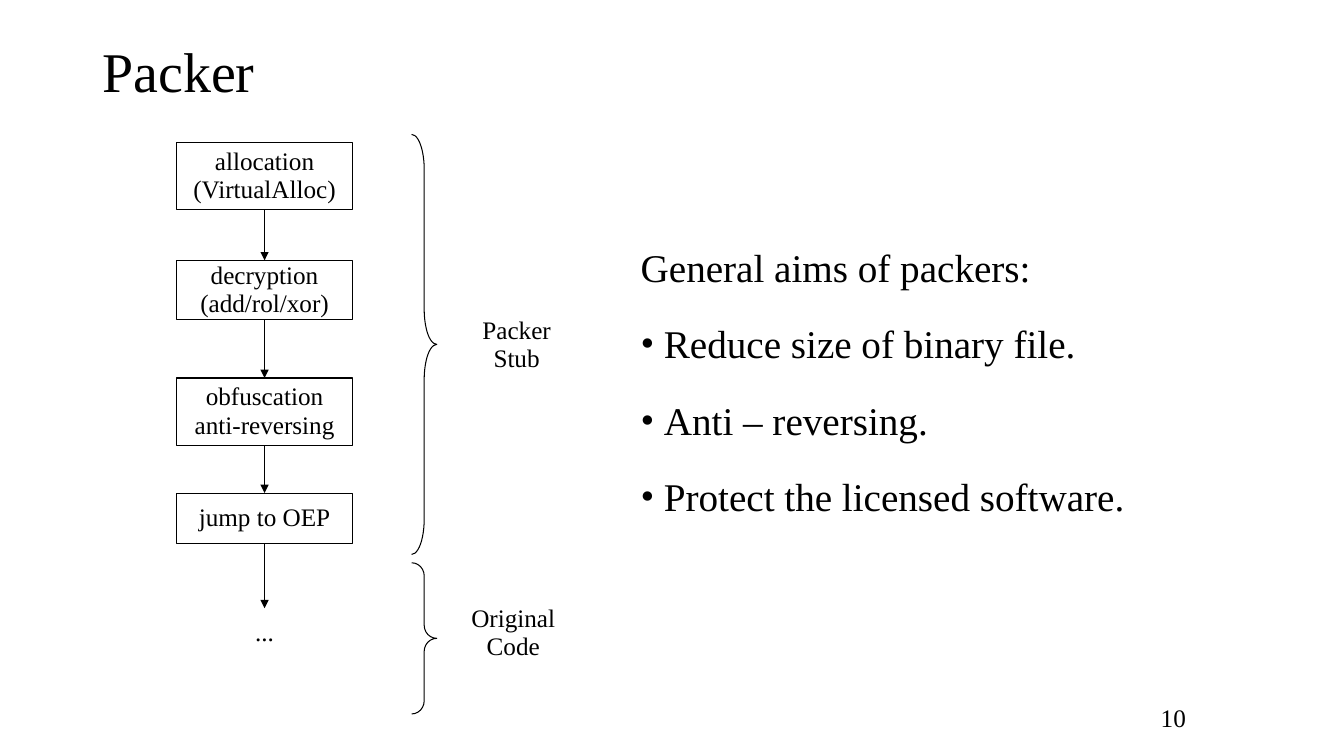
from lxml import etree
from pptx import Presentation
from pptx.dml.color import RGBColor
from pptx.enum.shapes import MSO_CONNECTOR, MSO_SHAPE
from pptx.enum.text import MSO_ANCHOR, MSO_AUTO_SIZE, PP_ALIGN
from pptx.oxml.ns import qn
from pptx.util import Inches, Pt

RECT, BRACE = MSO_SHAPE.RECTANGLE, MSO_SHAPE.RIGHT_BRACE
STRAIGHT = MSO_CONNECTOR.STRAIGHT
TOP, MIDDLE = MSO_ANCHOR.TOP, MSO_ANCHOR.MIDDLE
LEFT, CENTER = PP_ALIGN.LEFT, PP_ALIGN.CENTER
NO_FIT = MSO_AUTO_SIZE.NONE
BLACK = RGBColor(0, 0, 0)
WHITE = RGBColor(255, 255, 255)
FONT = "Times New Roman"
W, H = Inches(13.34), Inches(7.5)
COLS, ROWS = 160, 90
LINE_WIDTH = Pt(0.75)
BULLET_INDENT = Inches(0.23)

STEPS = [
    (17, 8, ["allocation", "(VirtualAlloc)"]),
    (31, 7, ["decryption", "(add/rol/xor)"]),
    (45, 8, ["obfuscation", "anti-reversing"]),
    (58.7, 6, ["jump to OEP"]),
    (72.4, 6, ["..."]),
]
SECTIONS = [
    (16, 50, 1.39, (54, 37.1), ["Packer", "Stub"]),
    (67, 18, 0.52, (53.6, 71.4), ["Original", "Code"]),
]
AIMS = ["Reduce size of binary file.", "Anti – reversing.", "Protect the licensed software."]


def grid(col, row, cols, rows):
    return (round(W * col / COLS), round(H * row / ROWS),
            round(W * cols / COLS), round(H * rows / ROWS))


def write(tf, lines, size=18, align=LEFT, spacing=0.93, anchor=TOP, wrap=True):
    tf.word_wrap = wrap
    tf.auto_size = NO_FIT
    tf.vertical_anchor = anchor
    for i, line in enumerate(lines):
        p = tf.add_paragraph() if i else tf.paragraphs[0]
        p.alignment = align
        p.line_spacing = spacing
        r = p.add_run()
        r.text = line
        r.font.size = Pt(size)
        r.font.name = FONT
        r.font.color.rgb = BLACK


def add_text(s, box, lines, **style):
    tf = s.shapes.add_textbox(*grid(*box)).text_frame
    write(tf, lines, **style)
    return tf


def outline(line):
    line.color.rgb = BLACK
    line.width = LINE_WIDTH


def add_step(s, row, rows, lines, framed):
    sp = s.shapes.add_shape(RECT, *grid(21, row, 21, rows))
    sp.shadow.inherit = False
    sp.fill.solid()
    sp.fill.fore_color.rgb = WHITE
    if framed:
        outline(sp.line)
    else:
        sp.line.fill.background()
    write(sp.text_frame, lines, align=CENTER, anchor=MIDDLE, wrap=False)
    return sp


def add_arrow(s, upper, lower):
    c = s.shapes.add_connector(STRAIGHT, 0, 0, 0, 0)
    c.begin_connect(upper, 2)
    c.end_connect(lower, 0)
    outline(c.line)
    etree.SubElement(c.line._get_or_add_ln(), qn("a:tailEnd"), type="triangle")
    etree.SubElement(c._element.spPr, qn("a:effectLst"))


def add_brace(s, row, rows, curve):
    sp = s.shapes.add_shape(BRACE, *grid(49, row, 3, rows))
    sp.shadow.inherit = False
    sp.fill.background()
    outline(sp.line)
    sp.adjustments[0] = curve


def add_bullet(p):
    pPr = p._p.get_or_add_pPr()
    pPr.set("marL", str(BULLET_INDENT))
    pPr.set("indent", str(-BULLET_INDENT))
    etree.SubElement(pPr, qn("a:buFont"), typeface=FONT)
    etree.SubElement(pPr, qn("a:buChar"), char="•")


def add_title(s, text):
    title = s.shapes.title
    title.left, title.top, title.width, title.height = grid(11, 4.8, 138, 8.2)
    write(title.text_frame, [text], size=40, spacing=0.9, anchor=MIDDLE)


def add_aims(s):
    tf = add_text(s, (75.1, 29, 66.9, 35), ["General aims of packers:"] + AIMS,
                  size=28, spacing=0.9)
    for i, p in enumerate(tf.paragraphs):
        p.space_before = Pt(10)
        p.space_after = Pt(14.3)
        if i:
            add_bullet(p)


def main():
    prs = Presentation()
    prs.slide_width, prs.slide_height = W, H
    s = prs.slides.add_slide(prs.slide_layouts[5])
    add_title(s, "Packer")
    add_aims(s)
    add_text(s, (137, 83.4, 12, 4.8), ["10"])
    steps = [add_step(s, row, rows, lines, framed=lines != ["..."])
             for row, rows, lines in STEPS]
    for upper, lower in zip(steps, steps[1:]):
        add_arrow(s, upper, lower)
    for row, rows, curve, (col, label_row), lines in SECTIONS:
        add_brace(s, row, rows, curve)
        add_text(s, (col, label_row, 15, 7.9), lines, align=CENTER)
    prs.save("out.pptx")


if __name__ == "__main__":
    main()
